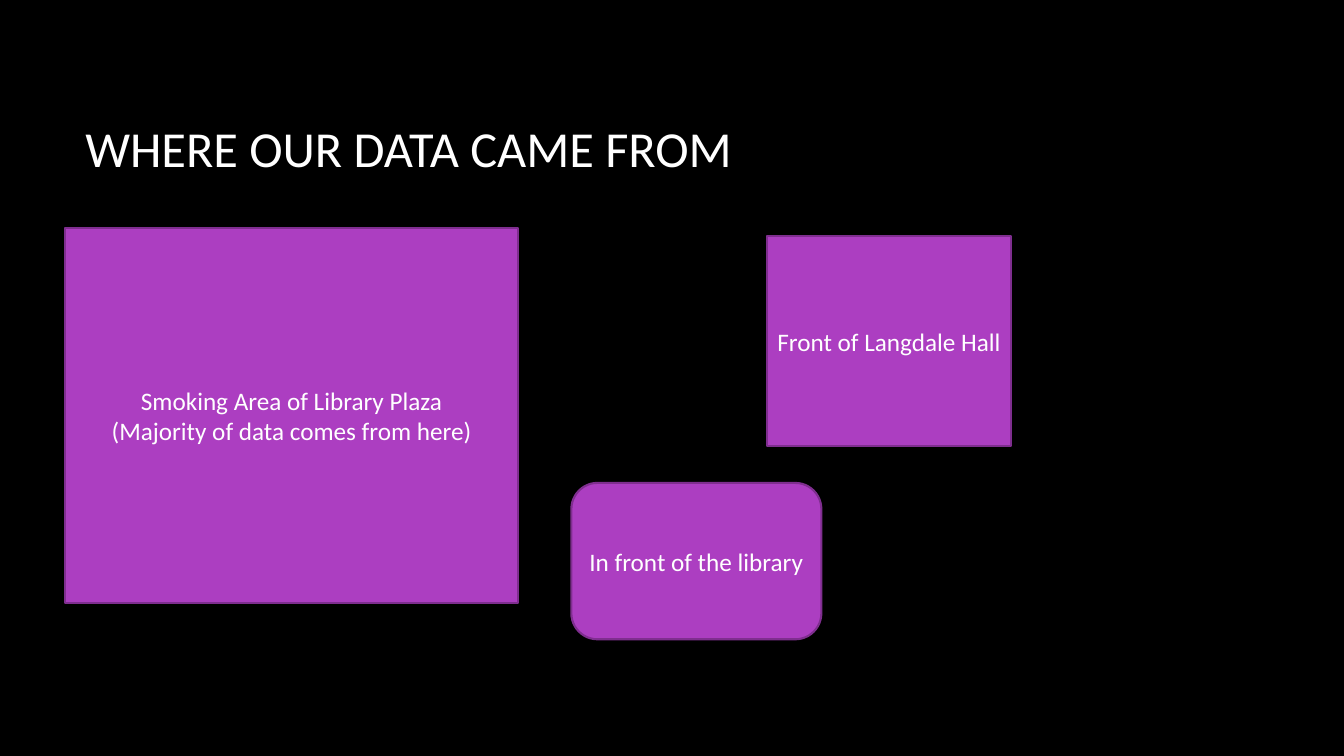
"""Build the slide that shows where the data came from."""
from dataclasses import dataclass

from pptx import Presentation
from pptx import util as u
from pptx.dml.color import RGBColor
from pptx.enum import shapes, text
from pptx.shapes.autoshape import Shape
from pptx.slide import Slide


@dataclass(frozen=True)
class Theme:
    """Colours, font and type sizes of the slide."""
    background: RGBColor = RGBColor(0x00, 0x00, 0x00)
    ink: RGBColor = RGBColor(0xFF, 0xFF, 0xFF)
    fill: RGBColor = RGBColor(0xAC, 0x3E, 0xC1)
    outline: RGBColor = RGBColor(0x7F, 0x2E, 0x8F)
    font: str = "Calibri"
    heading_size: float = 36
    label_size: float = 18
    outline_width: float = 1.5


@dataclass(frozen=True)
class Box:
    """Position and size in centimetres."""
    left: float
    top: float
    width: float
    height: float

    def lengths(self) -> list[u.Length]:
        """Return the four values as lengths."""
        return [u.Cm(v) for v in (self.left, self.top, self.width, self.height)]


@dataclass(frozen=True)
class Site:
    """A place where data was collected."""
    outline: shapes.MSO_SHAPE
    box: Box
    lines: tuple[str, ...]


THEME = Theme()
HEADING = "WHERE OUR DATA CAME FROM"
HEADING_BOX = Box(1.9, 1.7, 28.14, 4.04)
SITES = (
    Site(shapes.MSO_SHAPE.FLOWCHART_PROCESS, Box(1.65, 5.74, 11.4, 9.45),
         ("Smoking Area of Library Plaza", "(Majority of data comes from here)")),
    Site(shapes.MSO_SHAPE.RECTANGLE, Box(19.33, 5.94, 6.15, 5.31),
         ("Front of Langdale Hall",)),
    Site(shapes.MSO_SHAPE.ROUNDED_RECTANGLE, Box(14.4, 12.17, 6.3, 3.94),
         ("In front of the library",)),
)


def write(holder: Shape, lines: tuple[str, ...], size: float, align: text.PP_ALIGN) -> None:
    """Write one paragraph per line, centred vertically."""
    frame = holder.text_frame
    frame.word_wrap = True
    frame.vertical_anchor = text.MSO_ANCHOR.MIDDLE
    frame.text = "\n".join(lines)
    font_format = {"name": THEME.font, "size": u.Pt(size)}
    for paragraph in frame.paragraphs:
        paragraph.alignment = align
        for run in paragraph.runs:
            for attribute, value in font_format.items():
                setattr(run.font, attribute, value)
            run.font.color.rgb = THEME.ink


def draw_site(slide: Slide, site: Site) -> None:
    """Draw one labelled collection site."""
    area = slide.shapes.add_shape(site.outline, *site.box.lengths())
    area.shadow.inherit = False
    area.fill.solid()
    area.fill.fore_color.rgb = THEME.fill
    area.line.color.rgb = THEME.outline
    area.line.width = u.Pt(THEME.outline_width)
    write(area, site.lines, THEME.label_size, text.PP_ALIGN.CENTER)


def main() -> None:
    """Build and save the presentation."""
    deck = Presentation()
    deck.slide_width, deck.slide_height = u.Cm(33.87), u.Cm(19.05)
    slide = deck.slides.add_slide(deck.slide_layouts[6])
    slide.background.fill.solid()
    slide.background.fill.fore_color.rgb = THEME.background
    heading = slide.shapes.add_textbox(*HEADING_BOX.lengths())
    write(heading, (HEADING,), THEME.heading_size, text.PP_ALIGN.LEFT)
    for site in SITES:
        draw_site(slide, site)
    deck.save("out.pptx")


if __name__ == "__main__":
    main()
